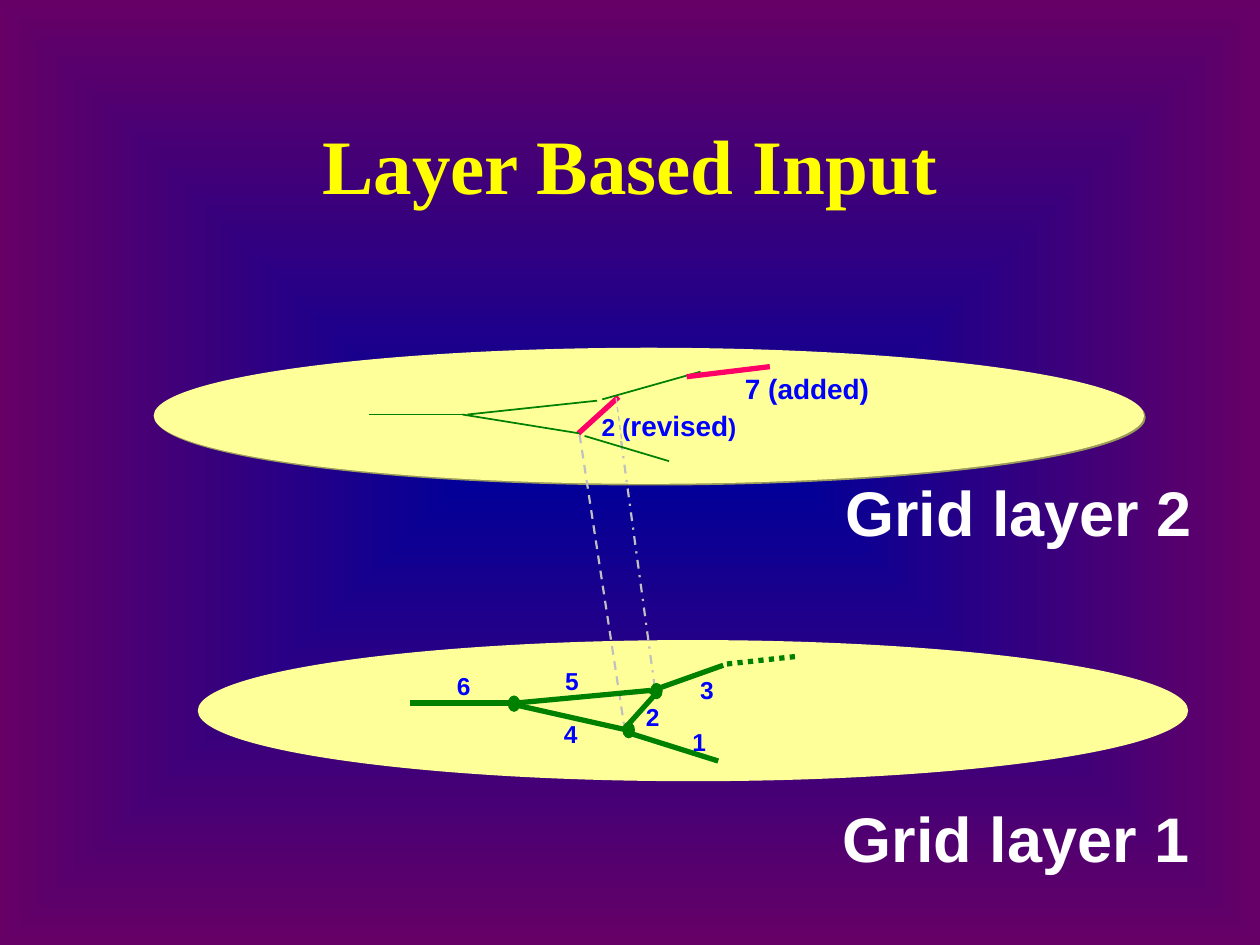
from lxml.etree import SubElement
from pptx import Presentation
from pptx.dml.color import RGBColor
from pptx.enum.dml import MSO_LINE
from pptx.enum.shapes import MSO_CONNECTOR, MSO_SHAPE
from pptx.enum.text import MSO_ANCHOR, MSO_AUTO_SIZE, PP_ALIGN
from pptx.oxml.ns import qn
from pptx.util import Inches, Pt

# The slide is a grid of 1000 columns by 750 rows.
COLS, ROWS = 1000, 750
WIDE, HIGH = Inches(10), Inches(7.5)

THEME = {
    "inner": "000099", "outer": "660066", "plane": "FFFF99", "shade": "99995C",
    "road": "008000", "change": "FF0066", "link": "C0C0C0",
    "title": ("Times New Roman", 44, "FFFF00"),
    "layer": ("Arial", 36, "FFFFFF"),
    "label": ("Arial", 14, "0000FF"),
    "note": ("Arial", 16, "0000FF"),
}

# Line styles: colour, width, dash
PENS = {
    "road": ("road", 3, None),
    "next": ("road", 3, MSO_LINE.ROUND_DOT),
    "thin": ("road", 1, None),
    "hair": ("road", 0.5, None),
    "change": ("change", 3, None),
    "dash": ("link", 1.25, MSO_LINE.DASH),
    "dot": ("link", 1.25, MSO_LINE.DASH_DOT),
    "fine": ("link", 0.75, MSO_LINE.DASH),
}

PLANE2 = (122, 276, 786, 108)
PLANE1 = (157, 508, 786, 112)

# Lines: pen, from column, from row, to column, to row
BASE = [
    ("dot", 493, 350, 520, 548),
    ("dash", 460, 345, 496, 580),
    ("road", 325, 558, 405, 558),
    ("road", 407, 559, 496, 579),
    ("road", 515, 549, 574, 528),
    ("road", 409, 558, 516, 548),
    ("road", 500, 582, 570, 604),
    ("road", 522, 549, 495, 579),
]
UPPER = [
    ("change", 491, 315, 459, 344),
    ("hair", 293, 329, 370, 329),
    ("thin", 367, 329, 460, 344),
    ("thin", 478, 317, 556, 295),
    ("thin", 371, 329, 474, 318),
    ("thin", 464, 346, 531, 366),
    ("change", 545, 299, 611, 291),
]
EXTRA = [
    ("next", 577, 527, 632, 521),
    ("fine", 489, 316, 494, 354),
]

NODES = [(403, 552), (516, 542), (494, 573)]
NODE = (10, 13)

MARKS = [("1", 533, 572), ("2", 496, 552), ("3", 539, 530),
         ("4", 431, 565), ("5", 432, 523), ("6", 346, 527)]
MARK = (44, 34)

# Texts: box, line spacing, runs of (wording, style)
TITLE = ((75, 67, 850, 125), 1, [("Layer Based Input", "title")])
NOTES = [
    ((452, 319, 158, 37), 1,
     [("2 (", "label"), ("revised", "note"), (")", "label")]),
    ((570, 290, 141, 37), 1, [("7 (added)", "note")]),
    ((653, 639, 307, 61), 0.85, [("Grid layer 1", "layer")]),
    ((651, 371, 315, 70), 1, [("Grid layer 2", "layer")]),
]

FRAME = {
    "word_wrap": True, "auto_size": MSO_AUTO_SIZE.NONE,
    "vertical_anchor": MSO_ANCHOR.MIDDLE,
    "margin_left": Inches(0.1), "margin_right": Inches(0.1),
    "margin_top": Inches(0.05), "margin_bottom": Inches(0.05),
}


def put(item, values):
    for name, value in values.items():
        setattr(item, name, value)


def paint(name):
    return RGBColor.from_string(THEME.get(name, name))


def place(*cells):
    """Turn column, row pairs into slide lengths."""
    units = (WIDE / COLS, HIGH / ROWS)
    return [round(cell * units[i % 2]) for i, cell in enumerate(cells)]


def back(slide):
    """Fill the background from the centre outwards."""
    fill = slide.background.fill
    fill.gradient()
    for stop, name, spot in zip(fill.gradient_stops, ("inner", "outer"), (0, 1)):
        put(stop, {"position": spot})
        stop.color.rgb = paint(name)
    grad = slide.element.find(".//" + qn("a:gradFill"))
    grad.remove(grad.find(qn("a:lin")))
    rect = SubElement(grad, qn("a:path"), {"path": "rect"})
    SubElement(rect, qn("a:fillToRect"), dict.fromkeys("ltrb", "50000"))


def oval(slide, box, name):
    shape = slide.shapes.add_shape(MSO_SHAPE.OVAL, *place(*box))
    shape.shadow.inherit = False
    shape.fill.solid()
    shape.fill.fore_color.rgb = paint(name)
    shape.line.fill.background()
    return shape


def shade(shape):
    """Cast a short, sharp shadow down and to the right."""
    list_ = shape.element.spPr.find(qn("a:effectLst"))
    cast = SubElement(list_, qn("a:outerShdw"), {
        "dist": str(Pt(1.4)), "dir": "2700000", "algn": "ctr", "rotWithShape": "0"})
    SubElement(cast, qn("a:srgbClr"), {"val": THEME["shade"]})


def draw(slide, rows):
    for pen, *ends in rows:
        name, width, dash = PENS[pen]
        wire = slide.shapes.add_connector(MSO_CONNECTOR.STRAIGHT, *place(*ends))
        wire.line.color.rgb = paint(name)
        put(wire.line, {"width": Pt(width), "dash_style": dash})
        SubElement(wire.element.spPr, qn("a:effectLst"))


def write(slide, box, space, runs):
    frame = slide.shapes.add_textbox(*place(*box)).text_frame
    put(frame, FRAME)
    para = frame.paragraphs[0]
    put(para, {"alignment": PP_ALIGN.CENTER, "line_spacing": space})
    for text, style in runs:
        face, size, color = THEME[style]
        run = para.add_run()
        run.text = text
        put(run.font, {"name": face, "size": Pt(size), "bold": True})
        run.font.color.rgb = paint(color)


def main():
    deck = Presentation()
    put(deck, {"slide_width": WIDE, "slide_height": HIGH})
    slide = deck.slides.add_slide(deck.slide_layouts[6])
    back(slide)
    write(slide, *TITLE)
    shade(oval(slide, PLANE2, "plane"))
    oval(slide, PLANE1, "plane")
    draw(slide, BASE)
    for node in NODES:
        oval(slide, node + NODE, "road")
    for text, *spot in MARKS:
        write(slide, (*spot, *MARK), 1, [(text, "label")])
    draw(slide, UPPER)
    for note in NOTES:
        write(slide, *note)
    draw(slide, EXTRA)
    deck.save("out.pptx")


if __name__ == "__main__":
    main()
